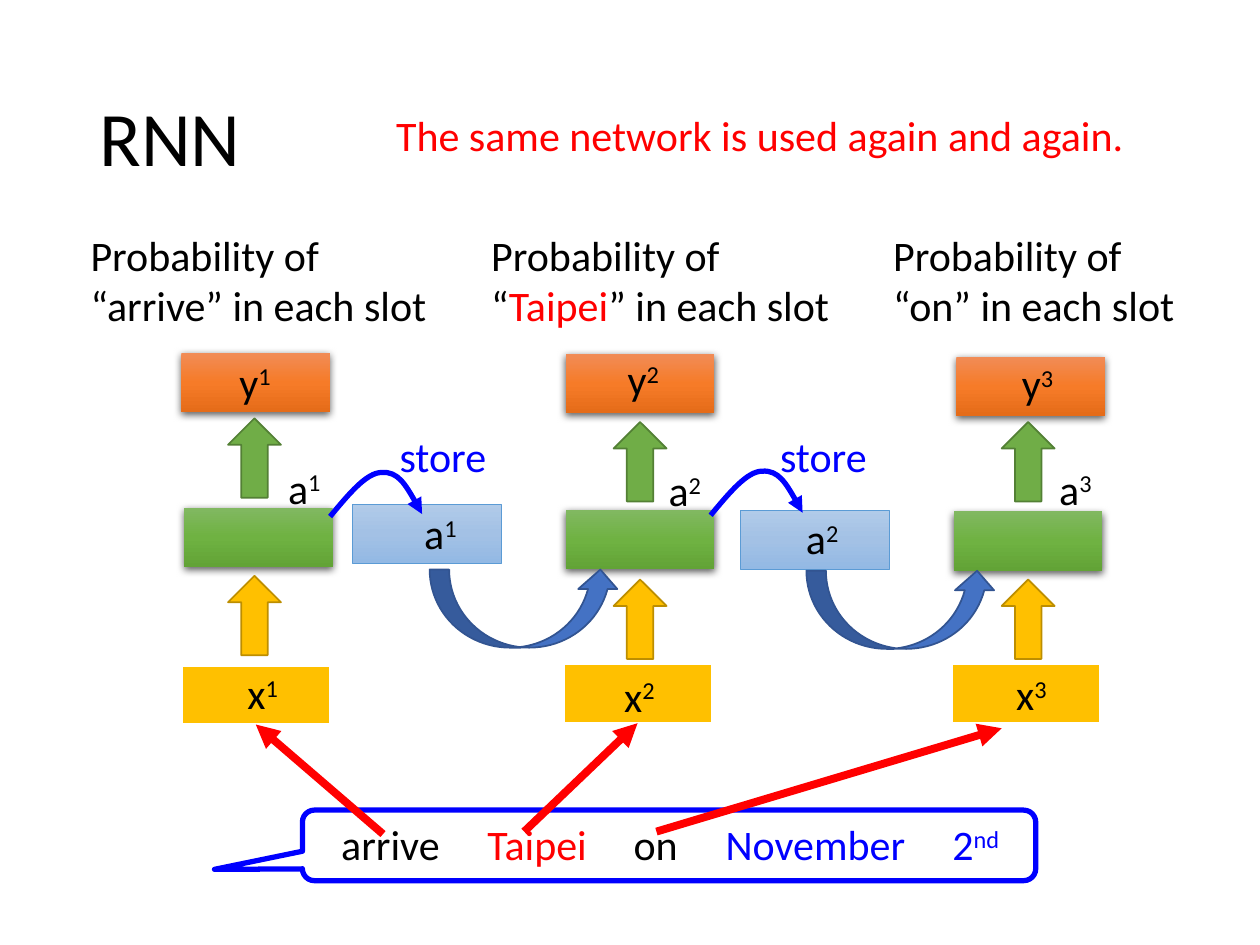
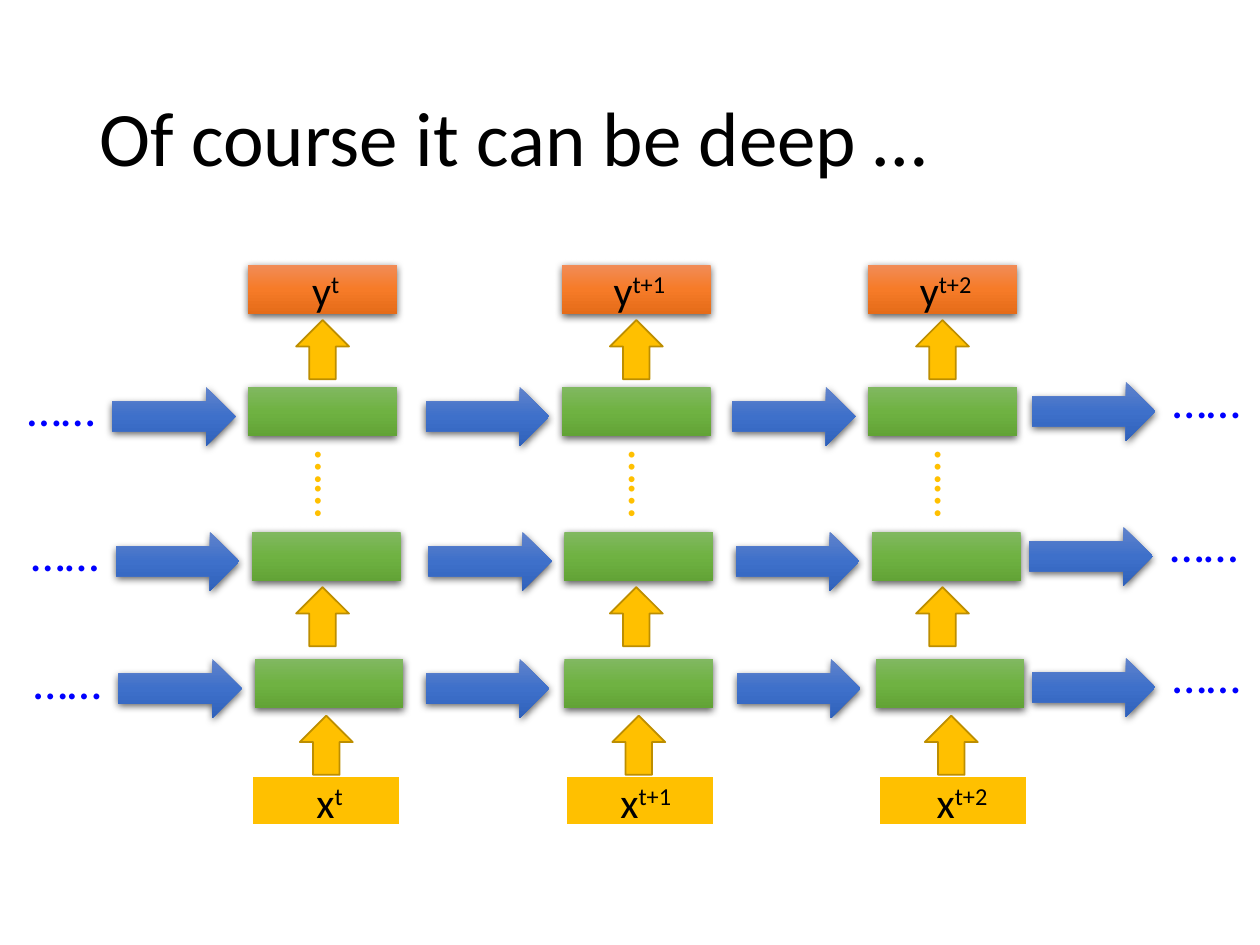
from lxml import etree
from pptx import Presentation
from pptx import util as u
from pptx.dml.color import RGBColor
from pptx.enum import shapes, text
from pptx.oxml import ns

BLACK = RGBColor(0, 0, 0)
WHITE = RGBColor(255, 255, 255)
RED = RGBColor(255, 0, 0)
BLUE = RGBColor(0, 0, 255)
GOLD = RGBColor(0xFF, 0xC0, 0x00)
BRONZE = RGBColor(0xBD, 0x8E, 0x00)
GREEN = RGBColor(0x70, 0xAD, 0x47)
MOSS = RGBColor(0x53, 0x80, 0x35)
ROYAL = RGBColor(0x44, 0x72, 0xC4)
NAVY = RGBColor(0x32, 0x54, 0x91)
SKY = RGBColor(0x5B, 0x9B, 0xD5)


def ramp(*codes):
    """Return the colours of a gradient from their hex codes."""
    return [RGBColor.from_string(code) for code in codes]


LEAF = ramp("81B861", "6FB242", "62A336")
FLAME = ramp("F18C57", "F67B28", "E56C19")
ICE = ramp("B1CBE9", "A3C1E5", "93B9E4")
OCEAN = ramp("6183CB", "3E70CA", "3062BB")

KIND = shapes.MSO_SHAPE
STYLES = {
    "input": {"kind": KIND.RECTANGLE, "fill": GOLD, "line": (WHITE, 1.5)},
    "hidden": {"kind": KIND.RECTANGLE, "fill": LEAF, "glow": True},
    "output": {"kind": KIND.RECTANGLE, "fill": FLAME, "glow": True},
    "memory": {"kind": KIND.RECTANGLE, "fill": ICE, "line": (SKY, 0.5)},
    "feed": {"kind": KIND.UP_ARROW, "fill": GOLD, "line": (BRONZE, 1)},
    "emit": {"kind": KIND.UP_ARROW, "fill": GREEN, "line": (MOSS, 1)},
    "recall": {"kind": KIND.CURVED_UP_ARROW, "fill": ROYAL, "line": (NAVY, 1)},
    "pass": {"kind": KIND.RIGHT_ARROW, "fill": OCEAN, "glow": True},
    "bubble": {"kind": KIND.ROUNDED_RECTANGULAR_CALLOUT, "line": (BLUE, 3)},
}
BOX_W = 1.18


def inches(*values):
    """Turn numbers into lengths."""
    return [u.Inches(value) for value in values]


def assign(target, values):
    """Set the attributes of an object from a dict."""
    for name, value in values.items():
        setattr(target, name, value)


def child(node, tag, **attrs):
    """Add a drawing element below a node."""
    return etree.SubElement(node, ns.qn(tag), attrs)


def paint(shape, fill=None, line=None, glow=False):
    """Give a shape its fill, outline and shadow."""
    shape.shadow.inherit = False
    if fill is None:
        shape.fill.background()
    elif isinstance(fill, list):
        shape.fill.gradient()
        shape.fill.gradient_angle = 270
        stops = shape._element.spPr.find(".//" + ns.qn("a:gsLst"))
        stops[:] = []
        for place, tint in enumerate(fill):
            stop = child(stops, "a:gs", pos=str(place * 50000))
            child(stop, "a:srgbClr", val=str(tint))
    else:
        shape.fill.solid()
        shape.fill.fore_color.rgb = fill
    if line:
        stroke(shape.line, *line)
    else:
        shape.line.fill.background()
    if glow:
        effects = shape._element.spPr.find(ns.qn("a:effectLst"))
        shade = child(effects, "a:outerShdw", blurRad="57150", dist="19050",
                      dir="5400000", algn="ctr", rotWithShape="0")
        tint = child(shade, "a:srgbClr", val="000000")
        child(tint, "a:alpha", val="63000")


def stroke(line, color, width, head=False):
    """Set the colour, width and arrowhead of a line."""
    line.color.rgb = color
    line.width = u.Pt(width)
    if head:
        child(line._get_or_add_ln(), "a:tailEnd", type="triangle")


def block(slide, style, x, y, w=BOX_W, h=0.47):
    """Draw a preset shape in a named style."""
    look = dict(STYLES[style])
    shape = slide.shapes.add_shape(look.pop("kind"), *inches(x, y, w, h))
    paint(shape, **look)
    return shape


def write(slide, runs, x, y, w, h=0.5, size=24, align="CENTER",
          anchor="TOP", turn=0):
    """Place a text box of (text, colour) runs, where ^ raises what follows."""
    box = slide.shapes.add_textbox(*inches(x, y, w, h))
    box.rotation = turn
    frame = box.text_frame
    assign(frame, {"word_wrap": True,
                   "vertical_anchor": text.MSO_ANCHOR[anchor]})
    para = frame.paragraphs[0]
    para.alignment = text.PP_ALIGN[align]
    for words, color in runs:
        for raised, part in enumerate(words.split("^")):
            run = para.add_run()
            run.text = part
            assign(run.font, {"name": "Calibri", "size": u.Pt(size)})
            run.font.color.rgb = color
            if raised:
                run._r.get_or_add_rPr().set("baseline", "30000")
    return para


def title(slide, words):
    """Write the slide title."""
    para = write(slide, [(words, BLACK)], 0.69, 0.4, 8.62, 1.45, 44,
                 "LEFT", "MIDDLE")
    para.line_spacing = 0.9


def label(slide, words, x, y, w=0.99):
    """Write a black symbol."""
    write(slide, [(words, BLACK)], x, y, w)


def dots(slide, x, y, color=BLUE, turn=0):
    """Write an ellipsis that shows the chain goes on."""
    write(slide, [("……", color)], x, y, 0.97, 0.57, 28, turn=turn)


def hop(slide, x, y):
    """Draw a curved arrow from a hidden layer into memory."""
    steps = [(0.15, -0.18), (0.29, -0.35), (0.41, -0.35),
             (0.54, -0.36), (0.64, -0.19), (0.73, -0.02)]
    pen = slide.shapes.build_freeform(*inches(x, y))
    pen.add_line_segments([inches(x + dx, y + dy) for dx, dy in steps],
                          close=False)
    curve = pen.convert_to_shape()
    paint(curve)
    stroke(curve.line, BLUE, 3, True)
    path = curve._element.spPr.find(".//" + ns.qn("a:path"))
    lines = path.findall(ns.qn("a:lnTo"))
    for start in (0, 3):
        bend = child(path, "a:cubicBezTo")
        for line in lines[start:start + 3]:
            bend.append(line[0])
            path.remove(line)


def link(slide, start, end, goal=None):
    """Draw a red arrow, joined to the bottom of a goal if there is one."""
    line = slide.shapes.add_connector(shapes.MSO_CONNECTOR.STRAIGHT,
                                      *inches(*start, *end))
    stroke(line.line, RED, 4.5, True)
    child(line._element.spPr, "a:effectLst")
    if goal is not None:
        line.end_connect(goal, 2)


def unroll(slide):
    """Show one network used for three words in turn."""
    title(slide, "RNN")
    write(slide, [("The same network is used again and again.", RED)],
          3.04, 0.82, 5.98)
    steps = [
        {"input": (1.44, 5.28), "hidden": (1.46, 4.03), "output": (1.44, 2.8),
         "arrow": (1.81, 3.32),
         "x": (1.59, 5.25), "y": (1.53, 2.78), "a": (2.1, 3.62)},
        {"input": (4.47, 5.27), "hidden": (4.49, 4.05), "output": (4.49, 2.81),
         "arrow": (4.87, 3.35),
         "x": (4.58, 5.27), "y": (4.61, 2.76), "a": (5.12, 3.64)},
        {"input": (7.55, 5.27), "hidden": (7.57, 4.06), "output": (7.59, 2.83),
         "arrow": (7.95, 3.35),
         "x": (7.69, 5.26), "y": (7.74, 2.79), "a": (8.22, 3.63)},
    ]
    goals = []
    for count, step in enumerate(steps, 1):
        parts = {part: block(slide, part, *step[part])
                 for part in ("input", "hidden", "output")}
        goals.append(parts["input"])
        x, y = step["arrow"]
        block(slide, "emit", x, y, 0.42, 0.63)
        block(slide, "feed", x, y + 1.25, 0.42, 0.63)
        for sign, width in (("x", 0.99), ("y", 0.99), ("a", 0.63)):
            label(slide, f"{sign}^{count}", *step[sign], width)

    stores = [((2.8, 4), (3, 3.98), (2.94, 3.37), (3.41, 4.52), (2.62, 4.1)),
              ((5.88, 4.05), (6.03, 4.02), (5.96, 3.37), (6.4, 4.53),
               (5.64, 4.09))]
    for count, (cell, sign, word, back, start) in enumerate(stores, 1):
        block(slide, "memory", *cell)
        label(slide, f"a^{count}", *sign)
        write(slide, [("store", BLUE)], *word, 1.15)
        block(slide, "recall", *back, 1.51, 0.62)
        hop(slide, *start)

    para = write(slide, [("arrive\t", BLACK), ("Taipei\t", RED),
                         ("on\t", BLACK), ("November\t2^nd", BLUE)],
                 2.61, 6.45, 5.61, align="LEFT")
    tabs = child(para._p.get_or_add_pPr(), "a:tabLst")
    for stop in (1.16, 2.32, 3.05, 4.85):
        child(tabs, "a:tab", pos=str(u.Inches(stop)), algn="l")
    bubble = block(slide, "bubble", 2.4, 6.43, 5.82, 0.56)
    for place, value in enumerate((-0.62, 0.34, 0.17)):
        bubble.adjustments[place] = value
    link(slide, (3.04, 6.62), (2.08, 5.76), goals[0])
    link(slide, (4.16, 6.6), (5.02, 5.73), goals[1])
    link(slide, (5.21, 6.6), (7.95, 5.78))

    heads = [("arrive", BLACK, 0.62, 2.95), ("Taipei", RED, 3.8, 2.95),
             ("on", BLACK, 6.99, 2.55)]
    for word, color, x, width in heads:
        write(slide, [("Probability of “", BLACK), (word, color),
                      ("” in each slot", BLACK)],
              x, 1.77, width, 0.91, align="LEFT")


def stack(slide):
    """Show a network of many layers over three time steps."""
    title(slide, "Of course it can be deep …")
    tall = 0.39
    layers = [
        (3.07, (1.97, 4.46, 6.89), (0.89, 3.38, 5.81), (8.19, 3.03)),
        (4.22, (2, 4.48, 6.92), (0.92, 3.4, 5.84), (8.17, 4.18)),
        (5.23, (2.02, 4.48, 6.95), (0.94, 3.38, 5.85), (8.19, 5.22)),
    ]
    for y, cells, flows, (last, end) in layers:
        for x in cells:
            block(slide, "hidden", x, y, h=tall)
        for x in flows:
            block(slide, "pass", x, y, 0.98)
        block(slide, "pass", last, end, 0.98)
        dots(slide, flows[0] - 0.89, y - 0.12)
        dots(slide, last + 0.9, end - 0.15)

    steps = [("t", 1.97, 2, 2.12, 2.35, 2.38),
             ("t+1", 4.46, 4.49, 4.63, 4.84, 4.86),
             ("t+2", 6.89, 6.97, 7.14, 7.27, 7.34)]
    for time, out, inp, sign, mid, low in steps:
        block(slide, "output", out, 2.1, h=tall)
        label(slide, f"y^{time}", out + 0.12, 2.05)
        block(slide, "input", inp, 6.16, h=tall)
        label(slide, f"x^{time}", sign, 6.11)
        for x, y in ((mid, 2.54), (mid, 4.66), (low, 5.68)):
            block(slide, "feed", x, y, 0.42, 0.47)
        dots(slide, mid - 0.18, 3.56, GOLD, 90)


def main():
    """Build and save both slides."""
    deck = Presentation()
    assign(deck, {"slide_width": u.Inches(10), "slide_height": u.Inches(7.5)})
    for build in (unroll, stack):
        build(deck.slides.add_slide(deck.slide_layouts[6]))
    deck.save("out.pptx")


if __name__ == "__main__":
    main()
